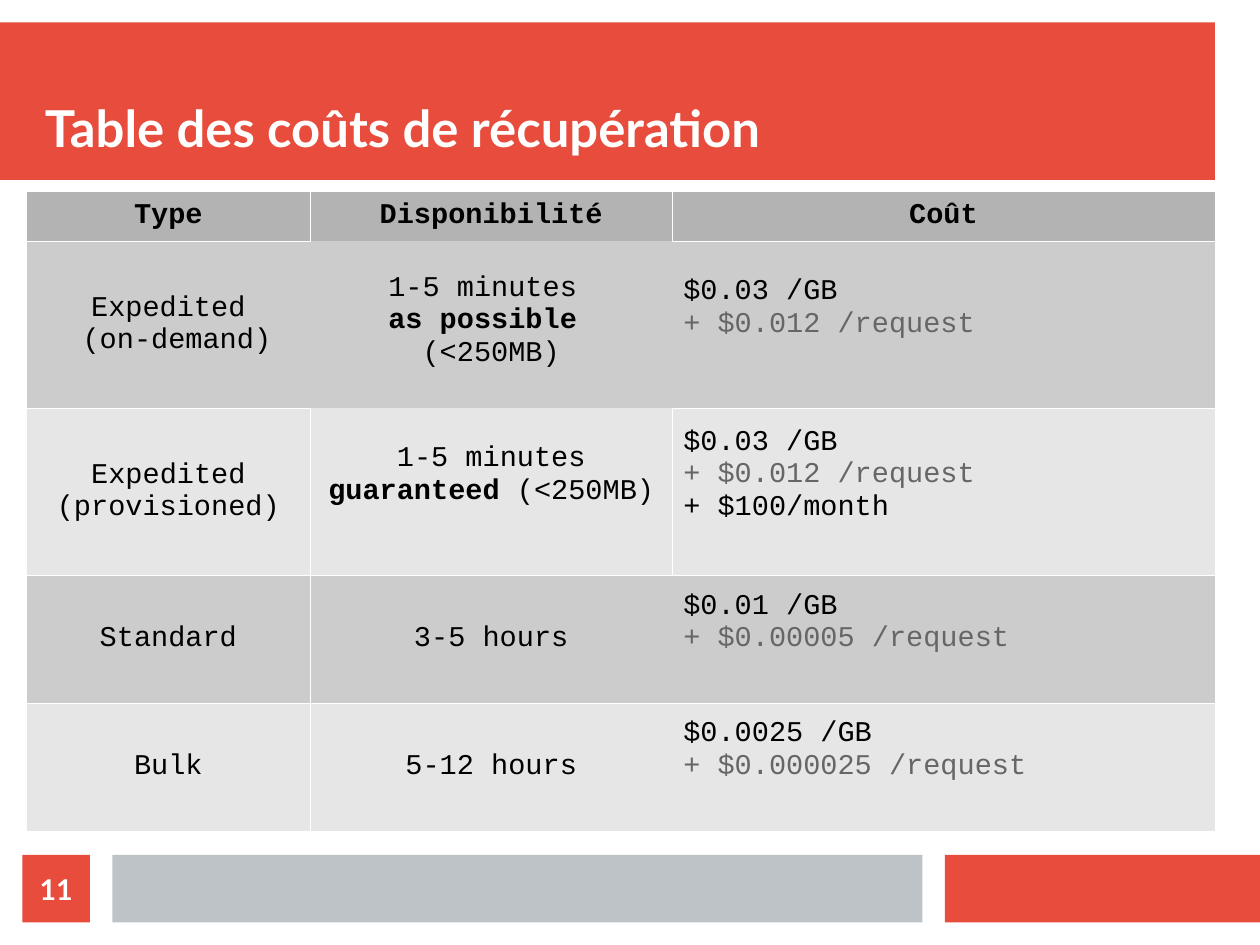
from dataclasses import dataclass

from lxml import etree
from pptx import Presentation
from pptx.dml.color import RGBColor
from pptx.enum import shapes, text
from pptx.oxml import ns
from pptx.util import Cm, Pt

CENTER, LEFT = text.PP_ALIGN.CENTER, text.PP_ALIGN.LEFT
MIDDLE, BOTTOM = text.MSO_ANCHOR.MIDDLE, text.MSO_ANCHOR.BOTTOM


@dataclass(frozen=True)
class Theme:
    accent: str = "E74C3C"
    band: str = "BDC3C7"
    white: str = "FFFFFF"
    ink: str = "000000"
    muted: str = "666666"
    header: str = "B3B3B3"
    stripes: tuple = ("CCCCCC", "E6E6E6")
    heading_font: str = "Lato"
    table_font: str = "Courier New"
    title_size: int = 32
    text_size: int = 18
    rule_width: float = 0.06


def write(frame, paragraphs, align=LEFT, **base):
    """Fill a frame; a paragraph is a string or a list of (text, format) runs."""
    for index, content in enumerate(paragraphs):
        paragraph = frame.add_paragraph() if index else frame.paragraphs[0]
        paragraph.alignment = align
        runs = [(content, {})] if isinstance(content, str) else content
        for words, changes in runs:
            style = {"bold": False, **base, **changes}
            run = paragraph.add_run()
            run.text = words
            run.font.name = style["font"]
            run.font.size = Pt(style["size"])
            run.font.bold = style["bold"]
            run.font.color.rgb = RGBColor.from_string(style["color"])


def set_borders(cell, color, width, open_sides):
    properties = cell._tc.get_or_add_tcPr()
    for side in "LRTB":
        line = etree.SubElement(properties, ns.qn(f"a:ln{side}"), w=str(Pt(width)))
        if side in open_sides:
            etree.SubElement(line, ns.qn("a:noFill"))
        else:
            fill = etree.SubElement(line, ns.qn("a:solidFill"))
            etree.SubElement(fill, ns.qn("a:srgbClr"), val=color)


class Deck:
    """Holds the theme and the current slide."""

    def __init__(self, theme, width, height):
        self.theme = theme
        self.presentation = Presentation()
        self.presentation.slide_width = Cm(width)
        self.presentation.slide_height = Cm(height)
        title_only = self.presentation.slide_layouts[5]
        self.slide = self.presentation.slides.add_slide(title_only)

    def block(self, left, top, width, height, color, label=None):
        box = self.slide.shapes.add_shape(
            shapes.MSO_SHAPE.RECTANGLE, Cm(left), Cm(top), Cm(width), Cm(height))
        box.shadow.inherit = False
        box.fill.solid()
        box.fill.fore_color.rgb = RGBColor.from_string(color)
        box.line.fill.background()
        if label:
            self.heading(box.text_frame, label, self.theme.text_size, MIDDLE, CENTER)

    def heading(self, frame, words, size, anchor, align):
        frame.margin_left = frame.margin_right = 0
        frame.margin_top = frame.margin_bottom = 0
        frame.word_wrap = True
        frame.auto_size = text.MSO_AUTO_SIZE.NONE
        frame.vertical_anchor = anchor
        write(frame, [words], align, font=self.theme.heading_font, size=size,
              color=self.theme.white, bold=True)

    def title(self, words, left, top, width, height):
        title = self.slide.shapes.title
        title.left, title.top = Cm(left), Cm(top)
        title.width, title.height = Cm(width), Cm(height)
        self.heading(title.text_frame, words, self.theme.title_size, BOTTOM, LEFT)
        # Bring the title in front of its band.
        self.slide.shapes._spTree.append(title._element)

    def table(self, left, top, widths, heights):
        table = self.slide.shapes.add_table(
            len(heights), len(widths), Cm(left), Cm(top),
            Cm(sum(widths)), Cm(sum(heights))).table
        table.first_row = table.horz_banding = False
        for column, width in zip(table.columns, widths):
            column.width = Cm(width)
        for row, height in zip(table.rows, heights):
            row.height = Cm(height)
        return table

    def cell(self, cell, paragraphs, fill, open_sides="", raised=False,
             anchor=MIDDLE, align=CENTER, bold=False):
        """Fill a table cell; raised leaves one line free below the text."""
        theme = self.theme
        set_borders(cell, theme.white, theme.rule_width, open_sides)
        cell.fill.solid()
        cell.fill.fore_color.rgb = RGBColor.from_string(fill)
        cell.vertical_anchor = anchor
        if raised:
            cell.margin_bottom = Cm(0.85)
        write(cell.text_frame, paragraphs, align, font=theme.table_font,
              size=theme.text_size, color=theme.ink, bold=bold)


def cost(per_gb, per_request, *extra):
    request = [(f"+ ${per_request} /request", {"color": Theme.muted})]
    return [f"${per_gb} /GB", request, *extra]


HEADERS = ["Type", "Disponibilité", "Coût"]
OFFERS = [
    (["Expedited", " (on-demand)"],
     ["1-5 minutes ", [("as possible ", {"bold": True})], "(<250MB)"],
     cost("0.03", "0.012")),
    (["Expedited (provisioned)"],
     [[("1-5 minutes ", {}), ("guaranteed", {"bold": True}), (" (<250MB)", {})]],
     cost("0.03", "0.012", "+ $100/month")),
    (["Standard"], ["3-5 hours"], cost("0.01", "0.00005")),
    (["Bulk"], ["5-12 hours"], cost("0.0025", "0.000025")),
]
# (row, column) of the cells with no rule on their right or lower side
OPEN_RIGHT = {(1, 0), (1, 1), (3, 1), (4, 1)}
OPEN_BELOW = {(0, 1), (1, 1)}


def open_sides(row, column):
    sides = {"R": (row, column) in OPEN_RIGHT, "L": (row, column - 1) in OPEN_RIGHT,
             "B": (row, column) in OPEN_BELOW, "T": (row - 1, column) in OPEN_BELOW}
    return [side for side, is_open in sides.items() if is_open]


def main():
    theme = Theme()
    deck = Deck(theme, 28, 21)
    deck.block(0, 0.5, 27, 3.5, theme.accent)
    deck.block(21, 19, 7, 1.5, theme.accent)
    deck.block(2.5, 19, 18, 1.5, theme.band)
    deck.title("Table des coûts de récupération", 1, 1, 26, 2.5)

    costs = deck.table(0.58, 4.24, [6.32, 8.03, 12.07], [1.12, 3.71, 3.71, 2.84, 2.84])
    for column, header in enumerate(HEADERS):
        deck.cell(costs.cell(0, column), [header], theme.header,
                  open_sides(0, column), bold=True)
    for row, offer in enumerate(OFFERS, start=1):
        for column, paragraphs in enumerate(offer):
            is_cost = column == 2
            deck.cell(costs.cell(row, column), paragraphs, theme.stripes[(row - 1) % 2],
                      open_sides(row, column),
                      raised=is_cost or (column == 1 and row <= 2),
                      anchor=BOTTOM if (row, column) == (1, 1) else MIDDLE,
                      align=LEFT if is_cost else CENTER)

    deck.block(0.5, 19, 1.5, 1.5, theme.accent, label="11")
    deck.presentation.save("out.pptx")


if __name__ == "__main__":
    main()
